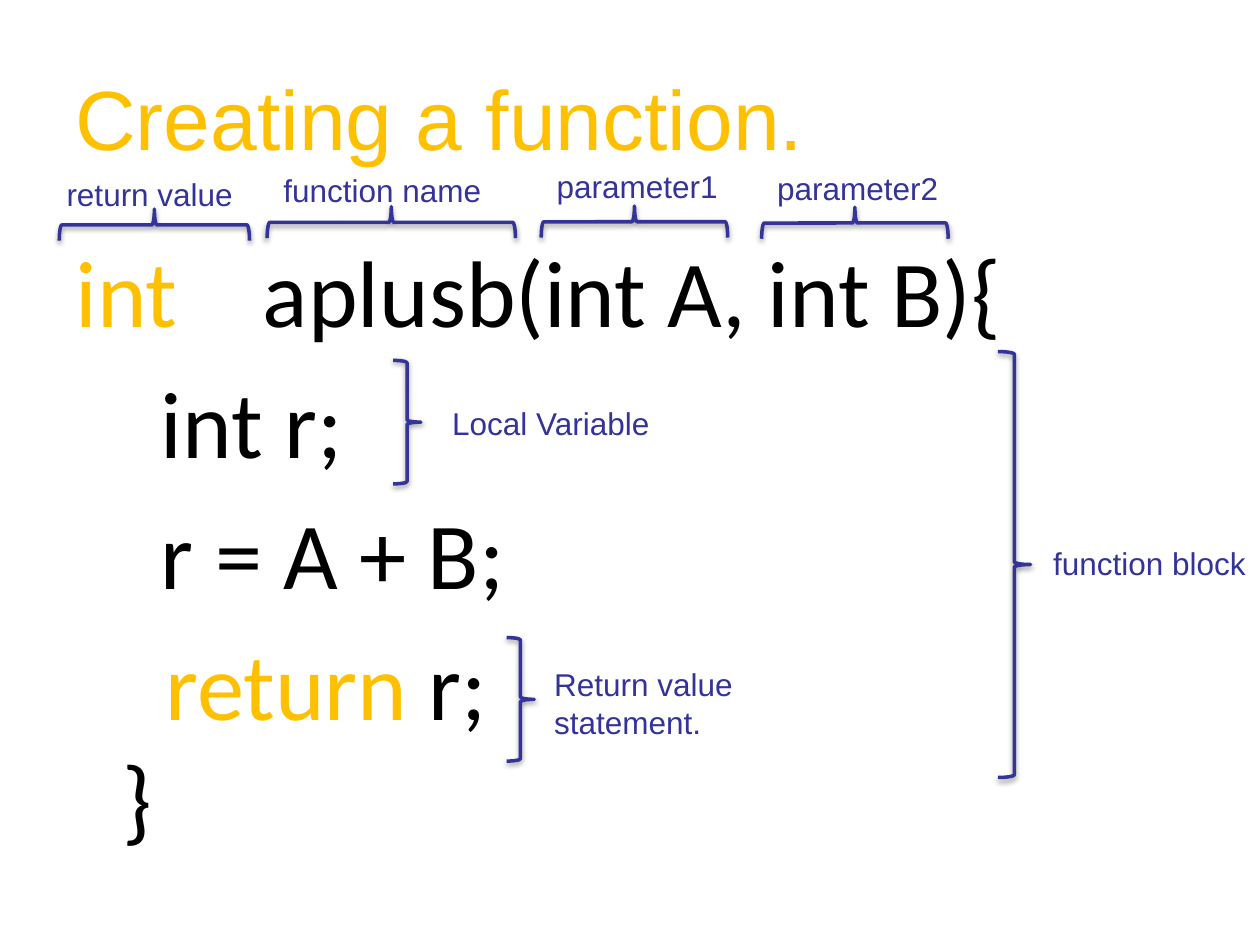
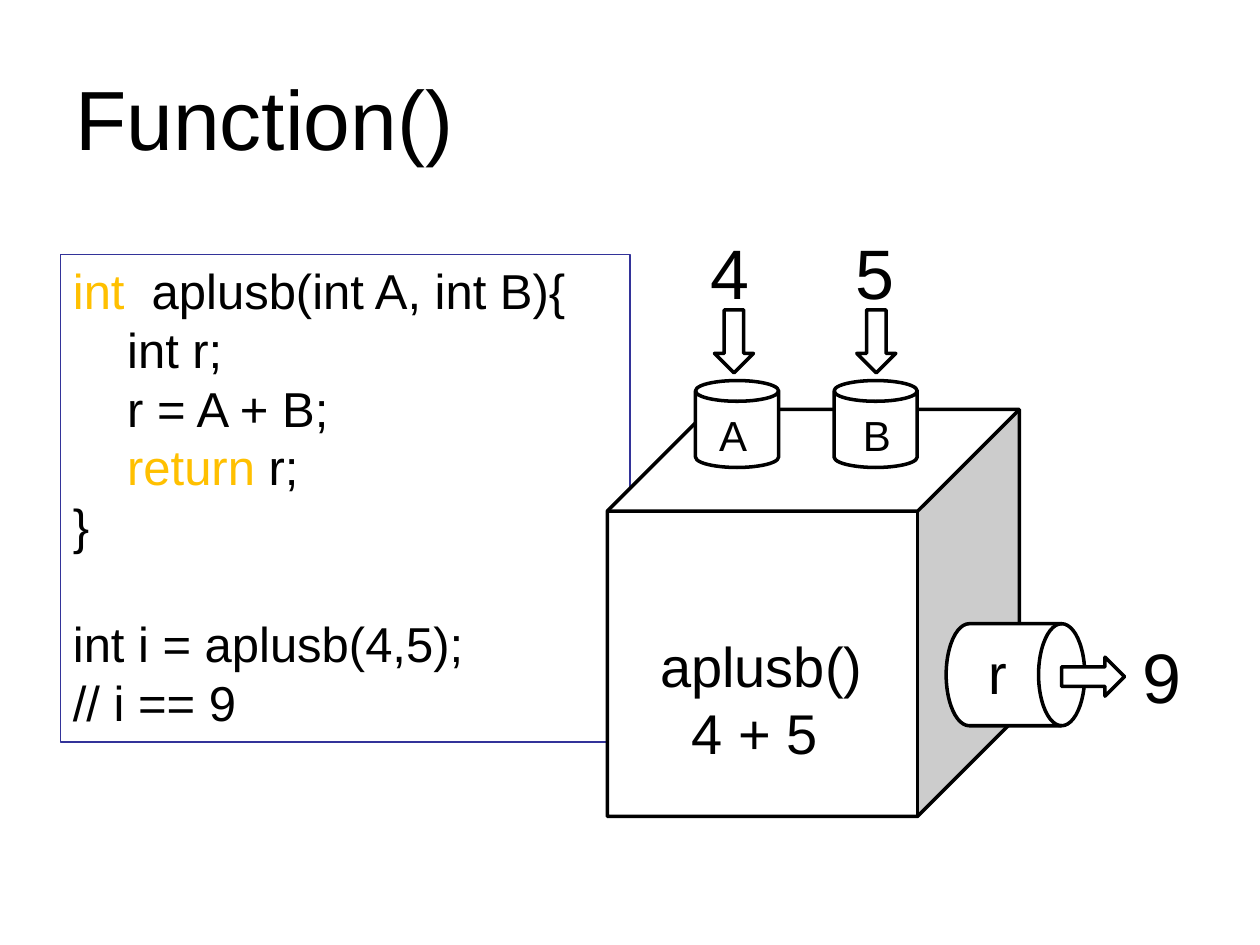
"""Builds two slides that explain how a function is written and called."""
import dataclasses

import lxml.etree
import pptx
import pptx.dml.color
import pptx.enum.shapes
import pptx.enum.text
import pptx.oxml
import pptx.util


@dataclasses.dataclass(frozen=True)
class Theme:
    gold: str = "FFC000"
    navy: str = "333399"
    black: str = "000000"
    white: str = "FFFFFF"
    sans: str = "Arial"
    code: str = "Calibri"
    title: int = 48
    large: int = 54
    value: int = 40
    label: int = 32
    list: int = 28
    port: int = 24
    note: int = 18
    lead: float = 1.2


theme = Theme()
rgb = pptx.dml.color.RGBColor.from_string
kinds = pptx.enum.shapes.MSO_SHAPE
deck = pptx.Presentation()
deck.slide_width = pptx.util.Inches(10)
deck.slide_height = pptx.util.Inches(7.5)
col = deck.slide_width / 100
row = deck.slide_height / 75
glow = (
    '<a:effectLst xmlns:a="http://schemas.openxmlformats.org/drawingml/2006/main">'
    '<a:outerShdw blurRad="39370" dist="20320" dir="5400000" rotWithShape="0">'
    '<a:srgbClr val="000000"><a:alpha val="38000"/></a:srgbClr>'
    "</a:outerShdw></a:effectLst>"
)


def draw(page, kind, box, line, fill=None, width=2, turn=0):
    left, top, wide, high = box
    shape = page.shapes.add_shape(
        kind, int(left * col), int(top * row), int(wide * col), int(high * row))
    shape.shadow.inherit = False
    shape.rotation = turn
    shape.line.color.rgb = rgb(line)
    shape.line.width = pptx.util.Pt(width)
    if fill:
        shape.fill.solid()
        shape.fill.fore_color.rgb = rgb(fill)
    else:
        shape.fill.background()
    return shape


def write(page, box, lines, size, face=theme.sans, host=None):
    left, top, wide, high = box
    host = host or page.shapes.add_textbox(
        int(left * col), int(top * row), int(wide * col), int(high * row))
    frame = host.text_frame
    frame.word_wrap = True
    frame.vertical_anchor = pptx.enum.text.MSO_ANCHOR.TOP
    for num, runs in enumerate(lines):
        para = frame.add_paragraph() if num else frame.paragraphs[0]
        para.alignment = pptx.enum.text.PP_ALIGN.LEFT
        para.line_spacing = pptx.util.Pt(size * theme.lead)
        for text, ink in runs:
            run = para.add_run()
            run.text = text
            run.font.name = face
            run.font.size = pptx.util.Pt(size)
            run.font.color.rgb = rgb(ink)
    return frame


pages = []
for text, ink in (("Creating a function.", theme.gold), ("Function()", theme.black)):
    page = deck.slides.add_slide(deck.slide_layouts[6])
    frame = write(page, (5, 3, 90, 12.5), [[(text, ink)]], theme.title)
    frame.vertical_anchor = pptx.enum.text.MSO_ANCHOR.MIDDLE
    pages.append(page)
parts, model = pages

frame = write(parts, (5, 17.5, 79.2, 49.5), [
    [("int    ", theme.gold), ("aplusb(int A, int B){", theme.black)],
    [("    int r;", theme.black)],
    [("    r = A + B;", theme.black)],
    [("  return", theme.gold), (" r;", theme.black)],
    [("}", theme.black)],
], theme.large, theme.code)
frame.margin_top = int(row)
for para in frame.paragraphs[1:4]:
    para.space_before = pptx.util.Pt(10)
for para in frame.paragraphs[3:]:
    para._p.get_or_add_pPr().set("marL", str(int(3.75 * col)))

notes = [
    ("return value", (4.3, 13.4, 15.3, 4), (11, 10.3, 2.5, 15.1), 90),
    ("function name", (21.5, 13.1, 17.9, 4), (29.8, 7.8, 2.5, 19.7), 90),
    ("function block", (82.6, 42.7, 17.4, 4), (79.2, 27.9, 2.6, 33.8), 180),
    ("Local Variable", (34.9, 31.6, 22.5, 4), (31.2, 28.6, 2.2, 9.8), 180),
    ("Return value statement.", (43, 52.3, 22.5, 7.1), (40.2, 50.6, 2.2, 9.8), 180),
    ("parameter1", (43.2, 12.8, 15.6, 4), (49.1, 10.2, 2.5, 14.8), 90),
    ("parameter2", (60.7, 12.9, 15.6, 4), (66.6, 10.3, 2.5, 14.8), 90),
]
for text, box, span, turn in notes:
    write(parts, box, [[(text, theme.navy)]], theme.note)
    brace = draw(parts, kinds.LEFT_BRACE, span, theme.navy, turn=turn)
    props = brace._element.spPr
    for old in props.findall(pptx.oxml.ns.qn("a:effectLst")):
        props.replace(old, lxml.etree.fromstring(glow))

box = (4.8, 20.2, 45.2, 38.7)
panel = draw(model, kinds.RECTANGLE, box, theme.navy, theme.white, 1)
frame = write(model, box, [
    [("int  ", theme.gold), ("aplusb(int A, int B){", theme.black)],
    [("    int r;", theme.black)],
    [("    r = A + B;", theme.black)],
    [("    return ", theme.gold), ("r;", theme.black)],
    [("}", theme.black)],
    [("int i = aplusb(4,5);", theme.black)],
    [("// i == 9", theme.black)],
], theme.list, host=panel)
frame.paragraphs[5].space_before = pptx.util.Pt(theme.list * theme.lead)

for kind, box, turn in (
    (kinds.CUBE, (48.2, 32.5, 32.7, 32.3), 0),
    (kinds.CAN, (55.2, 30.2, 6.6, 6.9), 0),
    (kinds.CAN, (66.2, 30.2, 6.6, 6.9), 0),
    (kinds.FLOWCHART_DIRECT_ACCESS_STORAGE, (75.1, 49.5, 11, 8.1), 0),
    (kinds.DOWN_ARROW, (56.7, 24.6, 3.1, 5), 0),
    (kinds.DOWN_ARROW, (68, 24.6, 3.1, 5), 0),
    (kinds.DOWN_ARROW, (85.2, 51.2, 3.1, 5), 270),
):
    draw(model, kind, box, theme.black, theme.white, turn=turn)

for text, box, size in (
    ("A", (56.1, 32, 4.3, 5), theme.port),
    ("B", (67.5, 32, 4.3, 5), theme.port),
    ("4", (55.4, 17.7, 5.1, 7.7), theme.value),
    ("5", (66.9, 17.7, 5.1, 7.7), theme.value),
    ("r", (77.5, 50.2, 3.5, 6.4), theme.label),
    ("9", (89.7, 49.8, 5.1, 7.7), theme.value),
):
    write(model, box, [[(text, theme.black)]], size)

frame = write(model, (51.4, 49.6, 18.2, 11.8), [
    [("aplusb()", theme.black)],
    [("4 + 5", theme.black)],
], theme.label)
frame.paragraphs[1]._p.get_or_add_pPr().set("marL", str(int(2.5 * col)))

deck.save("out.pptx")
